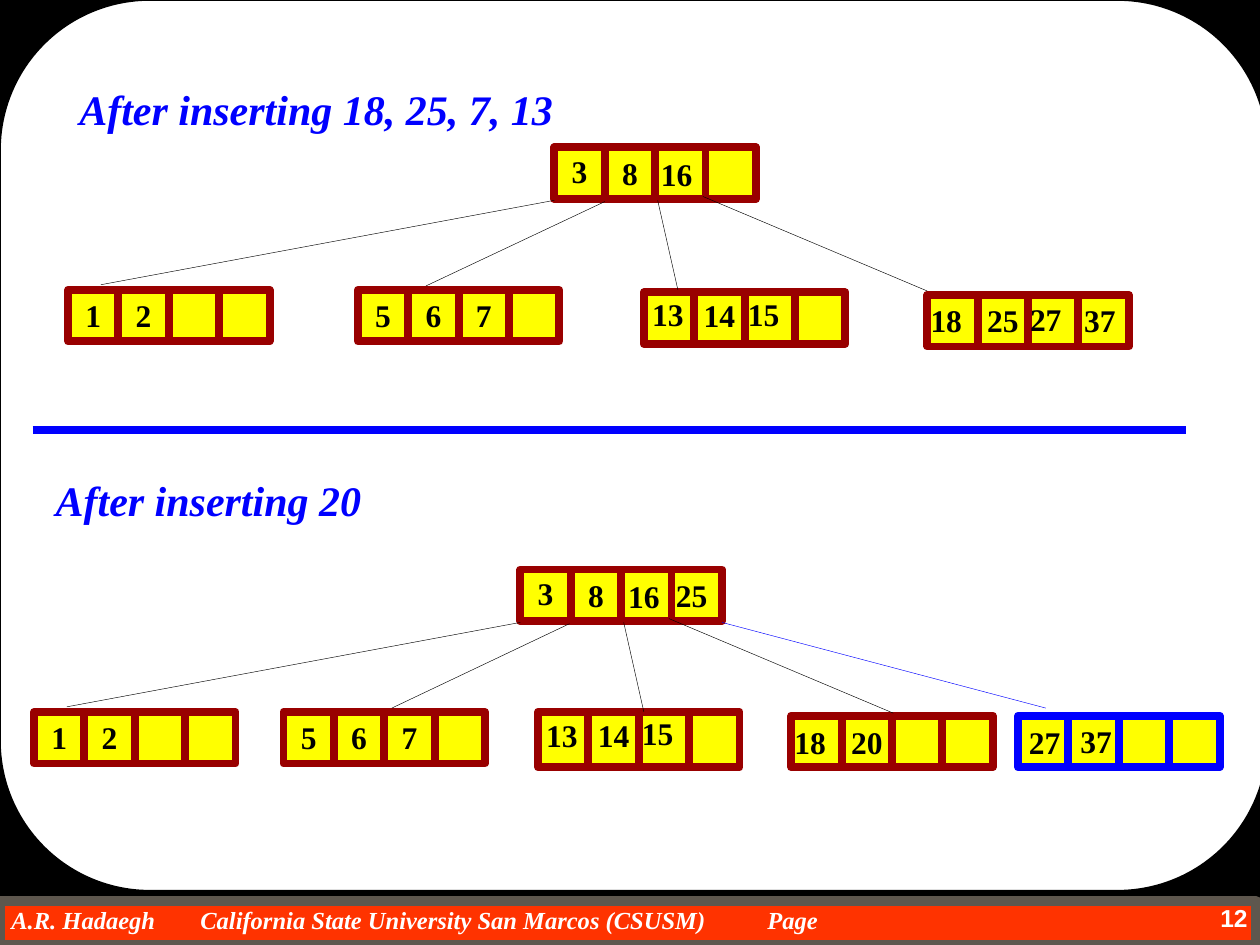
import dataclasses
import typing

import lxml.etree
import pptx
import pptx.dml.color
import pptx.enum.shapes
import pptx.enum.text
import pptx.oxml.ns
import pptx.util

Inches = pptx.util.Inches
Pt = pptx.util.Pt
Color = pptx.dml.color.RGBColor.from_string
Shape = pptx.enum.shapes.MSO_SHAPE
Align = pptx.enum.text.PP_ALIGN
Point = tuple[float, float]

CELLS = 4
SIDE = 0.4


@dataclasses.dataclass(frozen=True)
class Theme:
    black: str = "000000"
    white: str = "FFFFFF"
    red: str = "FF3300"
    gray: str = "5E574E"
    cell: str = "FFFF00"
    edge: str = "990000"
    blue: str = "0000FF"
    serif: str = "Times New Roman"
    sans: str = "Arial"
    head: int = 24
    key: int = 18
    foot: int = 14
    thick: float = 4.5
    thin: float = 0.25


THEME = Theme()


class Key(typing.NamedTuple):
    """A key, with its shift from the middle of its cell."""
    text: str
    dx: float = 0
    dy: float = 0


class Node(typing.NamedTuple):
    left: float
    top: float
    keys: list[Key]
    tall: float = 0.41
    edge: str = THEME.edge


class Link(typing.NamedTuple):
    start: Point
    end: Point
    color: str = THEME.black
    width: float = THEME.thin


FIRST = [
    Node(4.4, 1.17, [Key("3", 0, -0.01), Key("8"), Key("16", -0.03, 0.01)]),
    Node(0.54, 2.3, [Key("1"), Key("2")]),
    Node(2.84, 2.3, [Key("5"), Key("6"), Key("7")]),
    Node(5.11, 2.32, [Key("13", -0.01, -0.03), Key("14", 0, -0.02),
                      Key("15", -0.05, -0.03)]),
    Node(7.36, 2.34, [Key("18", -0.05), Key("25"),
                      Key("27", -0.06, -0.01), Key("37", -0.03)]),
]
SECOND = [
    Node(4.13, 4.52, [Key("3", 0, -0.01), Key("8"),
                      Key("16", -0.02, 0.01), Key("25", -0.04)]),
    Node(0.27, 5.65, [Key("1"), Key("2")]),
    Node(2.25, 5.65, [Key("5"), Key("6"), Key("7")]),
    Node(4.27, 5.65, [Key("13", -0.01, -0.02), Key("14", 0, -0.02),
                      Key("15", -0.05, -0.03)], tall=0.44),
    Node(6.28, 5.68, [Key("18", -0.05, 0.01), Key("20", 0, 0.01)]),
    Node(8.08, 5.68, [Key("27", 0.01, 0.01), Key("37", 0.02)],
         edge=THEME.blue),
]
LINKS = [
    Link((4.4, 1.59), (0.8, 2.26)),
    Link((4.8, 1.6), (3.38, 2.27)),
    Link((5.22, 1.59), (5.38, 2.3)),
    Link((5.58, 1.56), (7.36, 2.31)),
    Link((4.13, 4.94), (0.53, 5.61)),
    Link((4.52, 4.95), (3.11, 5.62)),
    Link((4.95, 4.94), (5.11, 5.65)),
    Link((5.31, 4.91), (7.09, 5.66)),
    Link((5.73, 4.94), (8.3, 5.62), THEME.blue),
    Link((0.26, 3.41), (9.41, 3.41), THEME.blue, THEME.thick),
]


def place(left: float, top: float, width: float, height: float) -> list:
    return [Inches(size) for size in (left, top, width, height)]


def add_block(shapes, kind, box: list, fill: str, edge: str, width: float):
    block = shapes.add_shape(kind, *box)
    block.shadow.inherit = False
    block.fill.solid()
    block.fill.fore_color.rgb = Color(fill)
    block.line.color.rgb = Color(edge)
    block.line.width = Pt(width)
    return block


def write(shape, text: str, size: int, color: str, face: str = THEME.serif,
          italic: bool = False, align=Align.CENTER) -> None:
    frame = shape.text_frame
    frame.text = text
    frame.word_wrap = False
    frame.auto_size = pptx.enum.text.MSO_AUTO_SIZE.NONE
    frame.vertical_anchor = pptx.enum.text.MSO_ANCHOR.TOP
    line = frame.paragraphs[0]
    line.alignment = align
    font = line.runs[0].font
    font.name, font.size = face, Pt(size)
    font.bold, font.italic = True, italic
    font.color.rgb = Color(color)


def draw_node(slide, node: Node) -> None:
    shapes = slide.shapes.add_group_shape().shapes
    for col in range(CELLS):
        box = place(node.left + col * SIDE, node.top, SIDE, node.tall)
        add_block(shapes, Shape.RECTANGLE, box, THEME.cell, node.edge,
                  THEME.thick)
    for col, key in enumerate(node.keys):
        width = 0.33 if len(key.text) == 1 else 0.45
        mid = node.left + (col + 0.5) * SIDE + key.dx
        box = place(mid - width / 2, node.top + key.dy, width, 0.4)
        write(shapes.add_textbox(*box), key.text, THEME.key, THEME.black)


def draw_link(slide, link: Link) -> None:
    ends = [Inches(size) for size in link.start + link.end]
    line = slide.shapes.add_connector(
        pptx.enum.shapes.MSO_CONNECTOR.STRAIGHT, *ends)
    line.line.color.rgb = Color(link.color)
    line.line.width = Pt(link.width)
    lxml.etree.SubElement(line._element.spPr,
                          pptx.oxml.ns.qn("a:effectLst"))


def set_tabs(line, stops: list[tuple[float, str]]) -> None:
    tabs = lxml.etree.Element(pptx.oxml.ns.qn("a:tabLst"))
    for spot, align in stops:
        lxml.etree.SubElement(tabs, pptx.oxml.ns.qn("a:tab"),
                              pos=str(Inches(spot)), algn=align)
    line._p.get_or_add_pPr().append(tabs)


def draw_frame(slide) -> None:
    """Draw the white page and the footer bar."""
    shapes = slide.shapes
    slide.background.fill.solid()
    slide.background.fill.fore_color.rgb = Color(THEME.black)
    add_block(shapes, Shape.RECTANGLE, place(0, 7.15, 9.97, 0.35),
              THEME.red, THEME.gray, 6)
    page = add_block(shapes, Shape.ROUNDED_RECTANGLE,
                     place(0, 0, 10.06, 7.07), THEME.white, THEME.black, 1)
    page.adjustments[0] = 1.19 / 7.07
    foot = shapes.add_textbox(*place(0.09, 7.18, 9.59, 0.23))
    frame = foot.text_frame
    frame.margin_left = frame.margin_right = 0
    frame.margin_top = frame.margin_bottom = 0
    set_tabs(frame.paragraphs[0], [(5.14, "ctr"), (9.48, "r")])
    write(foot, "A.R. Hadaegh\tCalifornia State University San Marcos (CSUSM)"
          "\tPage", THEME.foot, THEME.white, italic=True, align=Align.LEFT)
    write(shapes.add_textbox(*place(9.25, 7.12, 0.75, 0.38)), "12",
          THEME.foot, THEME.white, THEME.sans, align=Align.RIGHT)


def main() -> None:
    deck = pptx.Presentation()
    deck.slide_width, deck.slide_height = Inches(10), Inches(7.5)
    slide = deck.slides.add_slide(deck.slide_layouts[5])
    draw_frame(slide)

    title = slide.shapes.title
    title.left, title.top, title.width, title.height = place(
        0.53, 0.61, 3.96, 0.5)
    slide.shapes._spTree.append(title._element)  # in front of the page
    lower = slide.shapes.add_textbox(*place(0.34, 3.72, 2.63, 0.5))
    for head, text in ((title, "After inserting 18, 25, 7, 13"),
                       (lower, "After inserting 20")):
        write(head, text, THEME.head, THEME.blue, italic=True)

    for node in FIRST + SECOND:
        draw_node(slide, node)
    for link in LINKS:
        draw_link(slide, link)
    deck.save("out.pptx")


if __name__ == "__main__":
    main()
